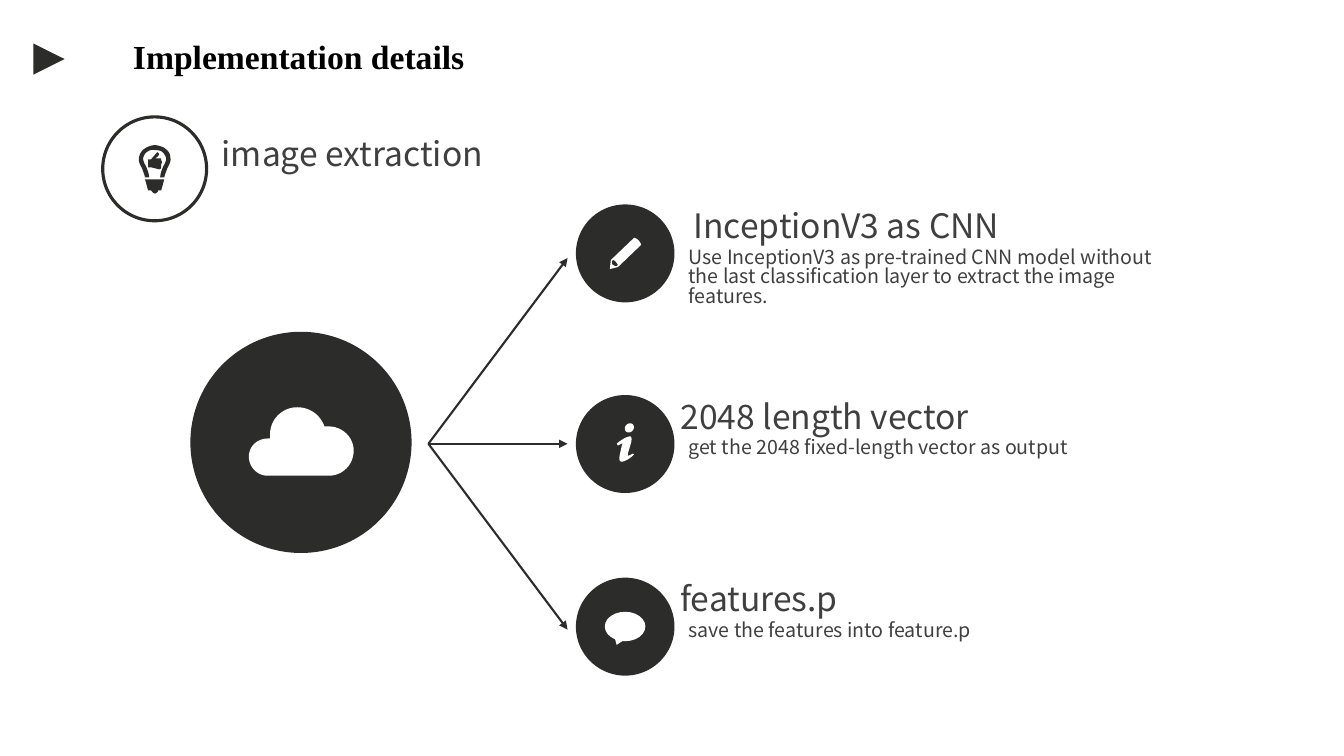
import pptx
import pptx.util
import pptx.dml.color
import pptx.enum.shapes
import pptx.enum.text
import pptx.oxml
import pptx.oxml.ns

Pt = pptx.util.Pt
RGB = pptx.dml.color.RGBColor
KIND = pptx.enum.shapes.MSO_SHAPE


class Theme:
    dark = RGB(0x2C, 0x2C, 0x2B)
    white = RGB(0xFF, 0xFF, 0xFF)
    grey = RGB(0x3F, 0x3F, 0x3F)
    black = RGB(0, 0, 0)
    sans = "Noto Sans CJK SC"
    serif = "Times New Roman"
    head = Pt(24)
    body = Pt(14)


deck = pptx.Presentation()
deck.slide_width, deck.slide_height = Pt(960), Pt(540)
slide = deck.slides.add_slide(deck.slide_layouts[5])
shapes = slide.shapes


def draw_icon(left, top, color, loops):
    """Fill closed loops, given in steps of 0.72 pt.

    Each loop starts at a point; a pair is a line, six numbers a cubic curve.
    """
    step, parts = Pt(0.72), 12
    build = None
    for loop in loops:
        x, y = loop[0]
        points = []
        for part in loop[1:]:
            if len(part) == 2:
                points.append(part)
            else:
                a, b, c, d, e, f = part
                for i in range(1, parts + 1):
                    t = i / parts
                    u = 1 - t
                    points.append((
                        u**3 * x + 3 * u * u * t * a + 3 * u * t * t * c + t**3 * e,
                        u**3 * y + 3 * u * u * t * b + 3 * u * t * t * d + t**3 * f))
            x, y = points[-1]
        start = [v * step for v in loop[0]]
        if build is None:
            build = shapes.build_freeform(*start)
        else:
            build.move_to(*start)
        build.add_line_segments([(p * step, q * step) for p, q in points], close=True)
    icon = build.convert_to_shape(Pt(left), Pt(top))
    icon.shadow.inherit = False
    icon.fill.solid()
    icon.fill.fore_color.rgb = color
    icon.line.fill.background()


def add_text(left, top, width, height, words, size, space):
    box = shapes.add_textbox(Pt(left), Pt(top), Pt(width), Pt(height))
    frame = box.text_frame
    frame.word_wrap = True
    frame.margin_left = frame.margin_right = 0
    frame.margin_top = frame.margin_bottom = 0
    para = frame.paragraphs[0]
    para.text = words
    para.line_spacing = space
    para.font.size = size
    para.font.name = Theme.sans
    para.font.color.rgb = Theme.grey


# Title
title = shapes.title
title.left, title.top, title.width, title.height = Pt(87.8), Pt(22.1), Pt(277), Pt(32)
frame = title.text_frame
frame.word_wrap = True
frame.margin_left = frame.margin_right = Pt(7.2)
frame.margin_top = frame.margin_bottom = Pt(3.6)
frame.vertical_anchor = pptx.enum.text.MSO_ANCHOR.TOP
para = frame.paragraphs[0]
para.text = "Implementation details"
para.alignment = pptx.enum.text.PP_ALIGN.LEFT
para.font.size = Theme.head
para.font.name = Theme.serif
para.font.bold = True
para.font.color.rgb = Theme.black

# Rows: circle top, heading left, heading, detail
rows = [
    (146, 495.4, "InceptionV3 as CNN",
     "Use InceptionV3 as pre-trained CNN model without the last "
     "classification layer to extract the image features."),
    (282.2, 486, "2048 length vector", "get the 2048 fixed-length vector as output"),
    (412.6, 486, "features.p", "save the features into feature.p"),
]

# Preset shapes: kind, left, top, width, height, fill
plain = [
    (KIND.ISOSCELES_TRIANGLE, 23.8, 31, 22.3, 22.3, Theme.dark),
    (KIND.OVAL, 136, 237, 158, 158, Theme.dark),
    (KIND.OVAL, 73.4, 83.5, 74.2, 74.2, None),
]
plain += [(KIND.OVAL, 411.4, row[0], 70.4, 70, Theme.dark) for row in rows]
plain.append((KIND.OVAL_CALLOUT, 432, 437, 29, 21, Theme.white))
for kind, left, top, width, height, color in plain:
    shape = shapes.add_shape(kind, Pt(left), Pt(top), Pt(width), Pt(height))
    shape.shadow.inherit = False
    if color is None:
        shape.fill.background()
        shape.line.color.rgb = Theme.dark
        shape.line.width = Pt(2.25)
    else:
        shape.fill.solid()
        shape.fill.fore_color.rgb = color
        shape.line.fill.background()
    if kind == KIND.ISOSCELES_TRIANGLE:
        shape.rotation = 90

# Arrows fan out from the cloud
for end in (184.3, 317, 449.7):
    arrow = shapes.add_connector(
        pptx.enum.shapes.MSO_CONNECTOR.STRAIGHT, Pt(306), Pt(317), Pt(405.4), Pt(end))
    arrow.line.color.rgb = Theme.dark
    arrow.line.width = Pt(1.5)
    line = arrow.line._get_or_add_ln()
    pptx.oxml.ns.qn("a:tailEnd")
    line.append(pptx.oxml.parse_xml(
        '<a:tailEnd xmlns:a="http://schemas.openxmlformats.org/drawingml/2006/main"'
        ' type="triangle"/>'))
    arrow._element.spPr.append(pptx.oxml.parse_xml(
        '<a:effectLst xmlns:a="http://schemas.openxmlformats.org/drawingml/2006/main"/>'))

cloud = [[
    (104, 43), (104, 57, 93, 68, 79, 68), (19, 68), (8, 68, 0, 59, 0, 49),
    (0, 39, 8, 31, 19, 31), (21, 31), (21, 27), (21, 12, 33, 0, 48, 0),
    (61, 0, 71, 8, 75, 19), (79, 19), (93, 19, 104, 30, 104, 43)]]
pencil = [
    [(28, 2), (26, 0, 24, 0, 24, 0), (1, 22), (0, 31), (8, 29), (31, 7),
     (31, 7, 31, 5, 28, 2)],
    [(7, 28), (5, 28), (2, 26), (2, 23), (3, 22), (3, 22, 5, 22, 6, 24),
     (8, 26, 8, 27, 8, 27)]]
info = [
    [(5, 38), (3, 38, 2, 37, 3, 31), (5, 22), (6, 20, 6, 20, 5, 20), (1, 22),
     (0, 20), (5, 16, 10, 13, 13, 13), (15, 13, 15, 16, 14, 20), (11, 30),
     (11, 32, 11, 32, 12, 32), (16, 30), (17, 31), (12, 36, 7, 38, 5, 38)],
    [(13, 0), (16, 0, 17, 2, 17, 4), (17, 6, 15, 9, 12, 9), (9, 9, 8, 7, 8, 5),
     (8, 3, 10, 0, 13, 0)]]
bulb = [
    [(7, 34), (26, 34), (23, 45), (20, 45), (20, 46, 18, 48, 17, 48),
     (15, 48, 14, 46, 13, 45), (10, 45)],
    [(23, 13), (23, 15), (24, 17), (23, 19), (23, 23), (21, 24), (13, 22),
     (10, 22), (10, 14), (13, 14), (19, 7), (23, 9, 19, 12, 17, 13)],
    [(7, 32), (11, 32), (11, 28, 9, 24, 8, 21), (6, 18, 5, 15, 5, 13),
     (6, 9, 8, 7, 10, 6), (12, 5, 14, 4, 17, 5), (19, 5, 21, 5, 23, 6),
     (25, 7, 27, 10, 28, 13), (28, 15, 27, 18, 25, 21), (24, 24, 22, 28, 22, 32),
     (26, 32), (27, 28, 28, 26, 29, 23), (31, 19, 33, 16, 32, 12),
     (32, 7, 28, 4, 25, 2), (22, 1, 19, 0, 17, 0), (14, 0, 11, 1, 9, 2),
     (5, 4, 2, 7, 1, 12), (0, 16, 2, 19, 4, 23), (5, 26, 6, 28, 7, 32)]]
draw_icon(177.8, 290.9, Theme.white, cloud)
draw_icon(435.6, 169.9, Theme.white, pencil)
draw_icon(440.6, 302.4, Theme.white, info)
draw_icon(98.6, 103.7, Theme.dark, bulb)

add_text(158.4, 98, 363, 45, "image extraction", Theme.head, 0.9)
for top, left, head, detail in rows:
    add_text(left, top + 3.6, 276, 29, head, Theme.head, 0.9)
    add_text(491.8, top + 31.5, 340, 60, detail, Theme.body, 0.83)

deck.save("out.pptx")
